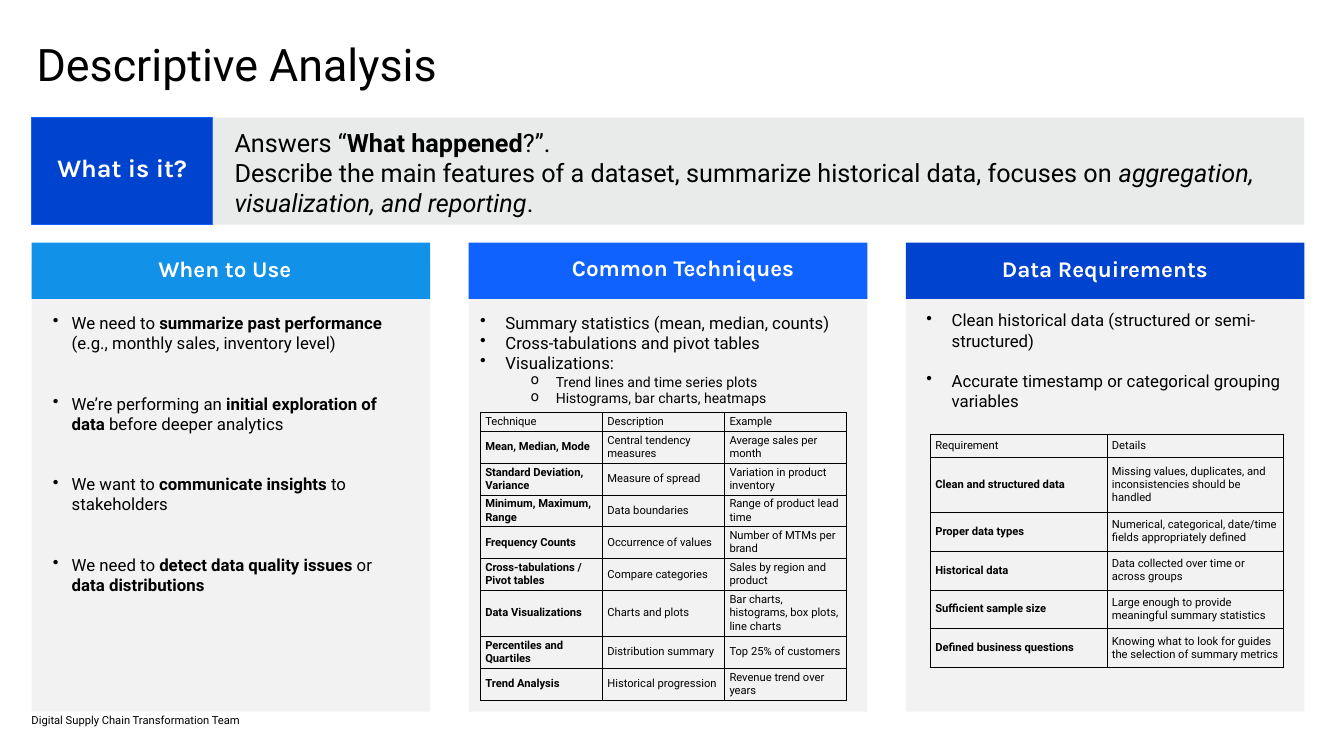
from dataclasses import dataclass

from lxml.etree import SubElement
from pptx import Presentation
from pptx.dml.color import RGBColor as RGB
from pptx.enum.shapes import MSO_SHAPE as SHAPE
from pptx.enum.text import MSO_ANCHOR as ANCHOR, MSO_AUTO_SIZE as AUTO, PP_ALIGN as ALIGN
from pptx.oxml.ns import qn
from pptx.util import Pt


@dataclass(frozen=True)
class Theme:
    """Colours, fonts and type sizes of the slide."""
    black: str = "000000"
    white: str = "FFFFFF"
    navy: str = "0043CE"
    blue: str = "0F62FE"
    sky: str = "1192E8"
    band: str = "E9EAEA"
    panel: str = "F2F2F2"
    body: str = "Roboto"
    heading: str = "Karla"
    title_size: int = 64
    band_size: int = 36
    header_size: int = 32
    list_size: int = 24
    sub_size: int = 20
    small_size: int = 16


T = Theme()
COLUMN_X, COLUMN_STEP, COLUMN_W = 45, 624.5, 569.5

WHEN = [
    ["We need to ", ("summarize past performance", "bold"), " (e.g., monthly sales, inventory level)"],
    ["We’re performing an ", ("initial exploration of data", "bold"), " before deeper analytics"],
    ["We want to ", ("communicate insights", "bold"), " to stakeholders"],
    ["We need to ", ("detect data quality issues", "bold"), " or ", ("data distributions", "bold")],
]
TECHNIQUES = ["Summary statistics (mean, median, counts)", "Cross-tabulations and pivot tables", "Visualizations:"]
VISUALS = ["Trend lines and time series plots", "Histograms, bar charts, heatmaps"]
REQUIREMENTS = [
    "Clean historical data (structured or semi-structured)",
    "Accurate timestamp or categorical grouping variables",
]
TECHNIQUE_ROWS = [
    ("Technique", "Description", "Example"),
    ("Mean, Median, Mode", "Central tendency measures", "Average sales per month"),
    ("Standard Deviation, Variance", "Measure of spread", "Variation in product inventory"),
    ("Minimum, Maximum, Range", "Data boundaries", "Range of product lead time"),
    ("Frequency Counts", "Occurrence of values", "Number of MTMs per brand"),
    ("Cross-tabulations / Pivot tables", "Compare categories", "Sales by region and product"),
    ("Data Visualizations", "Charts and plots", "Bar charts, histograms, box plots, line charts"),
    ("Percentiles and Quartiles", "Distribution summary", "Top 25% of customers"),
    ("Trend Analysis", "Historical progression", "Revenue trend over years"),
]
REQUIREMENT_ROWS = [
    ("Requirement", "Details"),
    ("Clean and structured data", "Missing values, duplicates, and inconsistencies should be handled"),
    ("Proper data types", "Numerical, categorical, date/time fields appropriately defined"),
    ("Historical data", "Data collected over time or across groups"),
    ("Sufficient sample size", "Large enough to provide meaningful summary statistics"),
    ("Defined business questions", "Knowing what to look for guides the selection of summary metrics"),
]


def write(tf, paras, size=T.list_size, font=T.body, color=T.black, bold=False,
          align=ALIGN.LEFT, bullet=None, indent=0, hang=36, level=0, gap=0):
    """Append paragraphs, each a string or a list of strings and (string, style) pairs."""
    for i, para in enumerate(paras):
        p = tf.paragraphs[0] if not tf.text else tf.add_paragraph()
        p.alignment, p.level = align, level
        if bullet:
            pPr = p._p.get_or_add_pPr()
            pPr.set("marL", str(Pt(indent + hang)))
            pPr.set("indent", str(-Pt(hang)))
            SubElement(pPr, qn("a:buChar")).set("char", bullet)
        if i and gap:
            p.space_before = Pt(gap)
        for part in [para] if isinstance(para, str) else para:
            words, style = (part, None) if isinstance(part, str) else part
            r = p.add_run()
            r.text = words
            r.font.size, r.font.name, r.font.bold = Pt(size), font, bold
            r.font.color.rgb = RGB.from_string(color)
            if style:
                setattr(r.font, style, True)


class Deck:
    """Holds the theme and the current slide."""

    def __init__(self, prs, theme):
        """Add a title-only slide."""
        self.t = theme
        self.s = prs.slides.add_slide(prs.slide_layouts[5])

    def title(self, words, x, y, w, h):
        """Place and format the title placeholder."""
        sp = self.s.shapes.title
        sp.left, sp.top, sp.width, sp.height = map(Pt, (x, y, w, h))
        tf = sp.text_frame
        tf.auto_size, tf.vertical_anchor, tf.margin_top = AUTO.NONE, ANCHOR.TOP, Pt(9)
        write(tf, [words], size=self.t.title_size)

    def rect(self, x, y, w, h, fill, line=None):
        """Add a filled rectangle."""
        sp = self.s.shapes.add_shape(SHAPE.RECTANGLE, *map(Pt, (x, y, w, h)))
        sp.shadow.inherit = False
        sp.fill.solid()
        sp.fill.fore_color.rgb = RGB.from_string(fill)
        if line:
            sp.line.color.rgb = RGB.from_string(line)
            sp.line.width = Pt(1.5)
        else:
            sp.line.fill.background()

    def text(self, x, y, w, h, paras, anchor=ANCHOR.TOP, inset=(0, 0), **style):
        """Add a wrapped text box and return its frame."""
        tf = self.s.shapes.add_textbox(*map(Pt, (x, y, w, h))).text_frame
        tf.word_wrap, tf.vertical_anchor = True, anchor
        tf.margin_left = tf.margin_right = Pt(inset[0])
        tf.margin_top = tf.margin_bottom = Pt(inset[1])
        write(tf, paras, **style)
        return tf

    def label(self, x, y, w, h, words, size):
        """Add a centred white heading."""
        self.text(x, y, w, h, [words], size=size, font=self.t.heading,
                  color=self.t.white, bold=True, align=ALIGN.CENTER)

    def table(self, x, y, w, heights, rows):
        """Add a ruled table with equal columns and a bold first column."""
        cols = len(rows[0])
        frame = self.s.shapes.add_table(len(rows), cols, *map(Pt, (x, y, w, sum(heights))))
        tbl = frame.table
        tbl.first_row = tbl.horz_banding = False
        for col in tbl.columns:
            col.width = Pt(w / cols)
        for i, (row, height) in enumerate(zip(rows, heights)):
            tbl.rows[i].height = Pt(height)
            for j, words in enumerate(row):
                cell = tbl.cell(i, j)
                cell.vertical_anchor = ANCHOR.MIDDLE
                write(cell.text_frame, [words], size=self.t.small_size, bold=i > 0 and j == 0)
                self.rule(cell)
                cell.fill.background()

    def rule(self, cell):
        """Draw a thin line on each side of a cell."""
        tcPr = cell._tc.get_or_add_tcPr()
        for side in ("lnL", "lnR", "lnT", "lnB"):
            ln = SubElement(tcPr, qn(f"a:{side}"), w=str(Pt(0.5)))
            SubElement(SubElement(ln, qn("a:solidFill")), qn("a:srgbClr")).set("val", self.t.black)


def main():
    """Build the slide."""
    prs = Presentation()
    prs.slide_width, prs.slide_height = Pt(1920), Pt(1080)
    d = Deck(prs, T)
    d.text(45, 1008, 390, 30, ["Digital Supply Chain Transformation Team"],
           anchor=ANCHOR.BOTTOM, size=T.small_size)
    d.title("Descriptive Analysis", 45, 44, 1226, 104)

    d.rect(45, 168, 259, 153, T.navy, T.blue)
    d.rect(304, 168, 1559, 153, T.band)
    d.label(27, 217.5, 295, 107, "What is it?", T.band_size)
    d.text(328, 178, 1506, 138, [
        ["Answers “", ("What happened", "bold"), "?”."],
        ["Describe the main features of a dataset, summarize historical data, focuses on ",
         ("aggregation, visualization, and reporting", "italic"), "."],
    ], inset=(7.2, 3.6), size=T.band_size)

    headers = [
        ("When to Use", T.sky, 138, 365, 366.5),
        ("Common Techniques", T.blue, 759, 363.5, 433.5),
        ("Data Requirements", T.navy, 1329, 365, 499),
    ]
    for i, (words, fill, x, y, w) in enumerate(headers):
        left = COLUMN_X + i * COLUMN_STEP
        d.rect(left, 381.5, COLUMN_W, 635, T.panel)
        d.rect(left, 346.5, COLUMN_W, 80.5, fill)
        d.label(x, y, w, 61, words, T.header_size)

    d.text(75.5, 447, 504, 456.5, WHEN, bullet="•", hang=27, gap=57.5)
    d.text(1323.5, 443, 510.5, 494.5, REQUIREMENTS, bullet="•", gap=29)
    tf = d.text(686, 446.5, 536.5, 432.5, TECHNIQUES, bullet="•")
    write(tf, VISUALS, size=T.sub_size, bullet="o", indent=72, level=1)

    d.table(686, 589, 523.5, [26.5] * 9, TECHNIQUE_ROWS)
    d.table(1329, 620, 504.5, [32.5, 79] + [55.5] * 4, REQUIREMENT_ROWS)
    prs.save("out.pptx")


if __name__ == "__main__":
    main()
